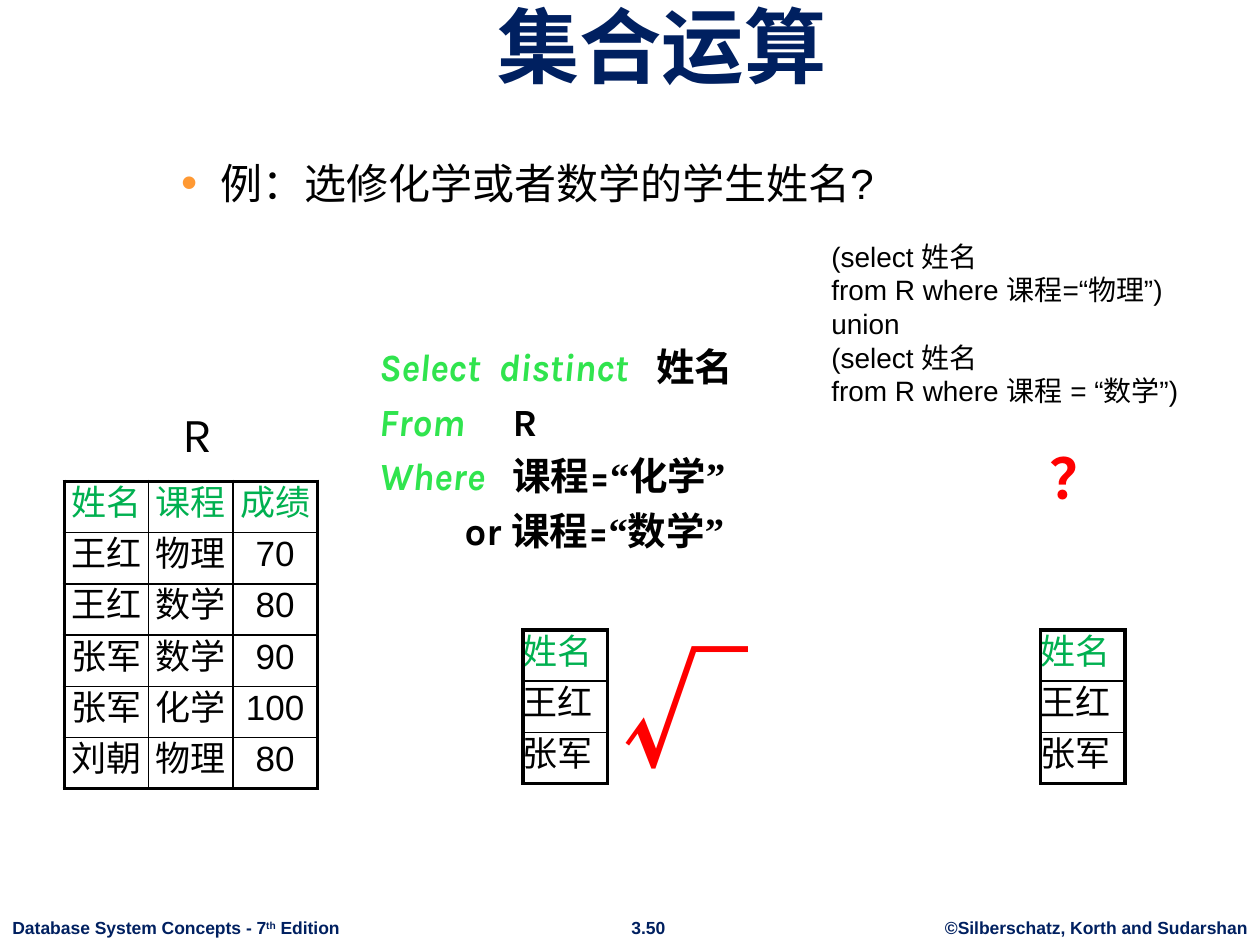
from dataclasses import dataclass

import pptx
import pptx.dml.color
import pptx.enum.text
import pptx.oxml
import pptx.oxml.ns
import pptx.util
from lxml import etree
from pptx.util import Inches

COLORS = {
    "navy": "002060",
    "black": "000000",
    "white": "FFFFFF",
    "header": "00B050",
    "keyword": "30E44E",
    "bullet": "FF9933",
    "red": "FF0000",
}
ALIGN = pptx.enum.text.PP_ALIGN
CELL_SIDE = 0.67
ROW_HEIGHT = 0.407


@dataclass
class Span:
    text: str
    color: str = "black"
    italic: bool = False
    font: str = ""
    raised: bool = False


@dataclass
class CodeLine:
    spans: list[Span]
    tabs: tuple[float, ...] = ()
    indent: float = 0


@dataclass
class Grid:
    left: float
    top: float
    rows: list[list[str]]
    align: int


def rgb(name: str):
    return pptx.dml.color.RGBColor.from_string(COLORS[name])


def add_element(parent, tag: str, **attributes):
    element = etree.SubElement(parent, pptx.oxml.ns.qn(tag))
    for key, value in attributes.items():
        element.set(key, str(value))
    return element


def add_span(para, text: str, *, size: float, font="Arial", color="black",
             bold=False, italic=False, raised=False) -> None:
    span = para.add_run()
    span.text = text
    span.font.size = pptx.util.Pt(size)
    span.font.name = font
    span.font.bold = bold
    span.font.italic = italic
    span.font.color.rgb = rgb(color)
    properties = span.font._element
    add_element(properties, "a:ea", typeface=font)
    if raised:
        properties.set("baseline", "30000")


def add_box(page, left: float, top: float, width: float, height: float, wrap=True):
    box = page.shapes.add_textbox(Inches(left), Inches(top), Inches(width), Inches(height))
    box.text_frame.word_wrap = wrap
    return box


def add_label(page, place: tuple, text: str, *, align=ALIGN.CENTER, wrap=True,
              spacing=None, **text_format):
    box = add_box(page, *place, wrap=wrap)
    para = box.text_frame.paragraphs[0]
    para.alignment = align
    para.line_spacing = spacing
    add_span(para, text, **text_format)
    return box


def add_title(page, text: str) -> None:
    title = page.shapes.title
    title.left, title.top = Inches(0.84), Inches(0.13)
    title.width, title.height = Inches(8.83), Inches(0.67)
    frame = title.text_frame
    frame.auto_size = pptx.enum.text.MSO_AUTO_SIZE.NONE
    frame.vertical_anchor = pptx.enum.text.MSO_ANCHOR.BOTTOM
    para = frame.paragraphs[0]
    para.alignment = ALIGN.CENTER
    add_span(para, text, size=47, color="navy", bold=True)


def add_bullet(page, text: str) -> None:
    box = add_label(page, (0.84, 1.2, 8.43, 5.36), text, size=24, align=ALIGN.LEFT)
    properties = box.text_frame.paragraphs[0]._p.get_or_add_pPr()
    properties.set("marL", str(Inches(0.81)))
    properties.set("indent", str(Inches(-0.31)))
    color = add_element(properties, "a:buClr")
    add_element(color, "a:srgbClr", val=COLORS["bullet"])
    add_element(properties, "a:buSzPct", val=110000)
    add_element(properties, "a:buFont", typeface="Arial")
    add_element(properties, "a:buChar", char="•")


def set_borders(cell, sides: dict[str, float]) -> None:
    """Give the four sides, in the order L, R, T, B, their widths in points."""
    properties = cell._tc.get_or_add_tcPr()
    for position, (side, width) in enumerate(sides.items()):
        line = add_element(properties, f"a:ln{side}", w=pptx.util.Pt(width))
        fill = add_element(line, "a:solidFill")
        add_element(fill, "a:srgbClr", val=COLORS["black"])
        properties.insert(position, line)


def add_grid(page, grid: Grid) -> None:
    count, width = len(grid.rows), len(grid.rows[0])
    frame = page.shapes.add_table(count, width, Inches(grid.left), Inches(grid.top),
                                  Inches(CELL_SIDE * width), Inches(ROW_HEIGHT * count))
    table = frame.table
    table.first_row = table.horz_banding = False
    for column in table.columns:
        column.width = Inches(CELL_SIDE)
    for y, row in enumerate(grid.rows):
        table.rows[y].height = Inches(ROW_HEIGHT)
        for x, text in enumerate(row):
            cell = table.cell(y, x)
            cell.margin_left = cell.margin_right = 0
            cell.margin_top = cell.margin_bottom = Inches(0.02)
            cell.fill.solid()
            cell.fill.fore_color.rgb = rgb("white")
            outer = {"L": x == 0, "R": x == width - 1, "T": y == 0, "B": y == count - 1}
            set_borders(cell, {side: 2.25 if edge else 1 for side, edge in outer.items()})
            para = cell.text_frame.paragraphs[0]
            para.alignment = grid.align
            add_span(para, text, size=20, color="header" if y == 0 else "black")


def add_query(page, lines: list[CodeLine]) -> None:
    frame = add_box(page, 2.91, 2.67, 3.57, 1.78).text_frame
    for number, line in enumerate(lines):
        para = frame.add_paragraph() if number else frame.paragraphs[0]
        para.space_before = pptx.util.Pt(5)
        properties = para._p.get_or_add_pPr()
        properties.set("marL", str(Inches(line.indent)))
        if line.tabs:
            stops = add_element(properties, "a:tabLst")
            for stop in line.tabs:
                add_element(stops, "a:tab", pos=Inches(stop), algn="l")
        for span in line.spans:
            add_span(para, span.text, size=22, font=span.font or "Karla",
                     color=span.color, bold=True, italic=span.italic)


def quoted(word: str) -> list[Span]:
    return [Span("“", font="Times New Roman"), Span(word), Span("”", font="Times New Roman")]


def keyword(text: str) -> Span:
    return Span(text, "keyword", italic=True)


def add_footer(page) -> None:
    style = {"size": 10, "color": "navy", "bold": True}
    add_label(page, (7.4, 7.23, 2.6, 0.27), "©Silberschatz, Korth and Sudarshan", wrap=False, **style)
    add_label(page, (4.9, 7.23, 0.49, 0.27), "3.50", wrap=False, **style)
    book = add_label(page, (0, 7.23, 2.81, 0.27), "Database System Concepts - 7",
                     align=ALIGN.LEFT, **style)
    para = book.text_frame.paragraphs[0]
    add_span(para, "th", raised=True, **style)
    add_span(para, " Edition", **style)


def main() -> None:
    deck = pptx.Presentation()
    deck.slide_width, deck.slide_height = Inches(10), Inches(7.5)
    page = deck.slides.add_slide(deck.slide_layouts[5])
    add_footer(page)
    add_title(page, "集合运算")
    add_bullet(page, "例：选修化学或者数学的学生姓名?")
    add_label(page, (0.94, 3.15, 1.25, 0.57), "R", size=28, font="Karla")

    scores = [["姓名", "课程", "成绩"], ["王红", "物理", "70"], ["王红", "数学", "80"],
              ["张军", "数学", "90"], ["张军", "化学", "100"], ["刘朝", "物理", "80"]]
    add_grid(page, Grid(0.51, 3.82, scores, ALIGN.CENTER))
    for left in (4.15, 8.26):
        add_grid(page, Grid(left, 5, [["姓名"], ["王红"], ["张军"]], ALIGN.LEFT))

    add_query(page, [
        CodeLine([keyword("Select\tdistinct\t"), Span("姓名")], tabs=(0.95, 2.2)),
        CodeLine([keyword("From\t"), Span("R")], tabs=(1.06,)),
        CodeLine([keyword("Where\t"), Span("课程="), *quoted("化学")], tabs=(1.06,)),
        CodeLine([Span("or 课程="), *quoted("数学")], indent=0.68),
    ])
    check = add_label(page, (4.94, 4.96, 1.1, 1.3), "√", size=72, font="Noto Sans CJK SC",
                      color="red", bold=True, align=ALIGN.LEFT)
    check.text_frame.margin_left = check.text_frame.margin_right = 0
    add_label(page, (8.23, 3.39, 0.65, 0.65), "？", size=32, font="Karla", color="red",
              bold=True, wrap=False, spacing=1.15)

    union = add_box(page, 6.5, 1.85, 3.4, 1.45).text_frame
    union_lines = ["(select 姓名", "from R where 课程=“物理”)", "union",
                   "(select 姓名", "from R where 课程 = “数学”)"]
    for number, text in enumerate(union_lines):
        para = union.add_paragraph() if number else union.paragraphs[0]
        add_span(para, text, size=16)
    deck.save("out.pptx")


if __name__ == "__main__":
    main()
